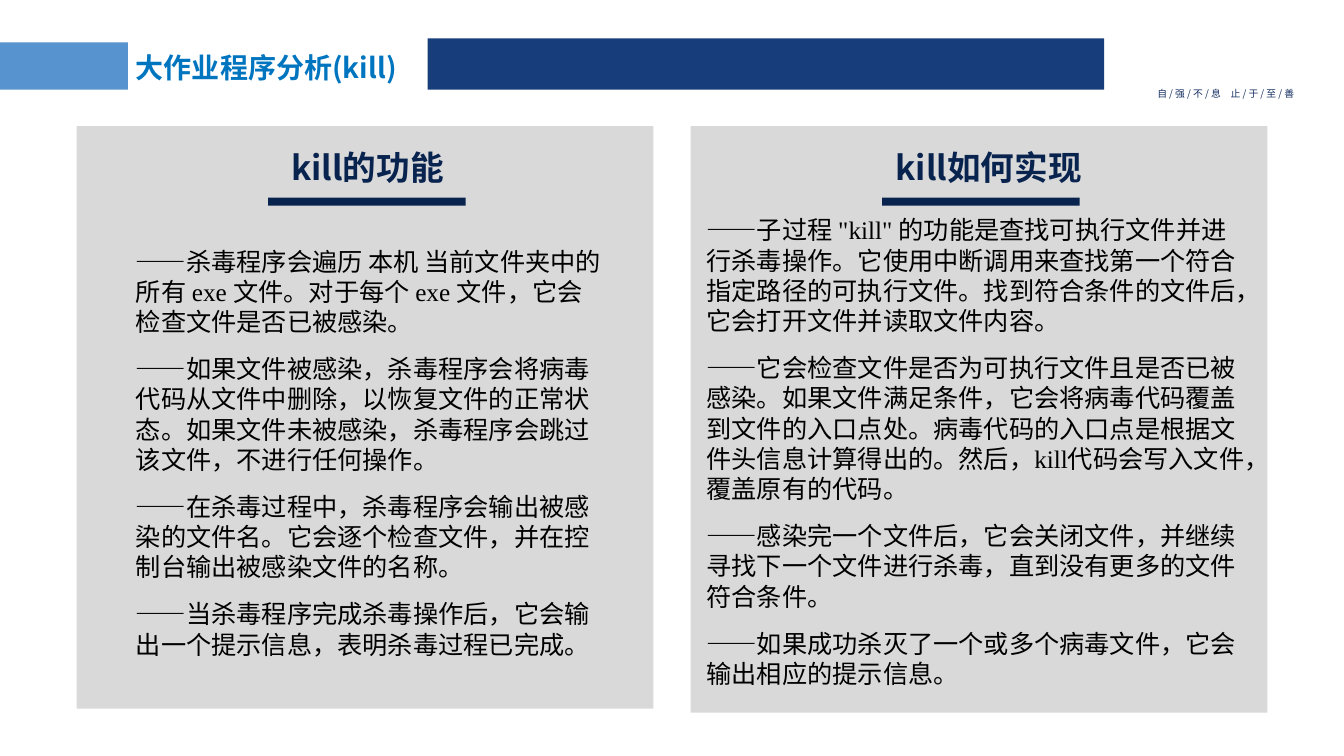
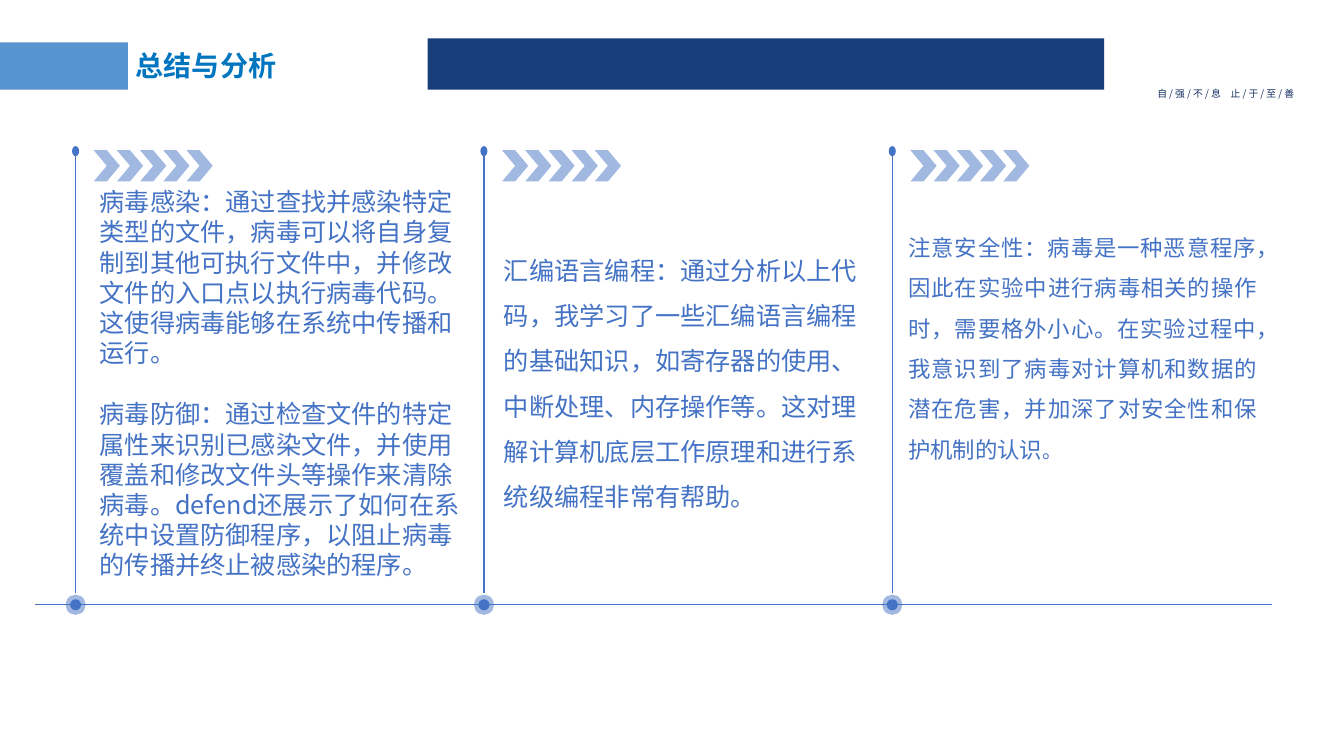
from pptx import Presentation
from pptx.dml.color import RGBColor
from pptx.enum.shapes import MSO_CONNECTOR as CONN, MSO_SHAPE as SHAPE
from pptx.enum.text import MSO_ANCHOR as ANCHOR, PP_ALIGN as ALIGN
from pptx.oxml.ns import qn
from pptx.util import Pt
from lxml.etree import SubElement

SANS, SERIF = "Noto Sans CJK SC", "Times New Roman"
NAVY, SKY, TITLE, MOTTO = "173D7A", "5793CE", "0075BF", "142E60"
PANEL, HEADING, BLACK, ACCENT = "D9D9D9", "09234F", "000000", "4472C4"
PX = 9144


def px(*lengths):
    """Turn px lengths into EMU."""
    return [round(v * PX) for v in lengths]


def rgb(color):
    """Turn a hex string into a colour."""
    return RGBColor.from_string(color)


def add_box(slide, kind, box, fill, alpha=None):
    """Add a filled preset shape without outline, optionally transparent."""
    sp = slide.shapes.add_shape(kind, *px(*box))
    sp.shadow.inherit = False
    sp.fill.solid()
    sp.fill.fore_color.rgb = rgb(fill)
    sp.line.fill.background()
    if alpha:
        clr = sp.fill._xPr.find(".//" + qn("a:srgbClr"))
        SubElement(clr, qn("a:alpha")).set("val", str(alpha * 1000))
    return sp


def add_line(slide, x1, y1, x2, y2):
    """Add a thin accent line."""
    cn = slide.shapes.add_connector(CONN.STRAIGHT, *px(x1, y1, x2, y2))
    cn.line.color.rgb = rgb(ACCENT)
    cn.line.width = Pt(1)
    SubElement(cn._element.spPr, qn("a:effectLst"))
    return cn


def add_text(slide, box, paragraphs, size, color, font=SANS, bold=False,
             align=ALIGN.LEFT, anchor=ANCHOR.TOP, leading=1.2, before=0, after=0):
    """Add a text box; each paragraph is a list of (text, size or None) runs."""
    tf = slide.shapes.add_textbox(*px(*box)).text_frame
    tf.word_wrap = True
    tf.vertical_anchor = anchor
    for i, runs in enumerate(paragraphs):
        p = tf.add_paragraph() if i else tf.paragraphs[0]
        p.alignment = align
        p.line_spacing = Pt(size * leading)
        p.space_before = Pt(before if i else 0)
        p.space_after = Pt(after)
        for text, run_size in runs:
            r = p.add_run()
            r.text = text
            r.font.size = Pt(run_size or size)
            r.font.bold = bold
            r.font.name = font
            r.font.color.rgb = rgb(color)
            SubElement(r._r.rPr, qn("a:ea")).set("typeface", SANS)


def plain(*texts):
    """Make one single-run paragraph for each text."""
    return [[(text, None)] for text in texts]


def new_slide(prs, title, title_top):
    """Add a slide with the shared bands, motto and title."""
    slide = prs.slides.add_slide(prs.slide_layouts[6])
    add_box(slide, SHAPE.RECTANGLE, (424, 38, 671, 51), NAVY)
    add_box(slide, SHAPE.RECTANGLE, (0, 42, 127, 47), SKY)
    add_text(slide, (1138, 82, 173, 22),
             plain("自 / 强 / 不 / 息　止 / 于 / 至 / 善"), 7, MOTTO)
    add_text(slide, (125, title_top, 303, 43), plain(title), 20, TITLE,
             bold=True, leading=1.15)
    return slide


def add_panel(slide, box, heading, heading_width, body, texts):
    """Add a grey panel with an underlined heading and a body box inside it."""
    x, y = box[:2]
    dx, dy, w, h = body
    add_box(slide, SHAPE.RECTANGLE, box, PANEL)
    add_text(slide, (x + 168, y + 20, heading_width, 42), plain(heading), 24,
             HEADING, bold=True, align=ALIGN.CENTER, anchor=ANCHOR.MIDDLE)
    add_box(slide, SHAPE.RECTANGLE, (x + 190, y + 71, 196, 8), HEADING)
    add_text(slide, (x + dx, y + dy, w, h), plain(*texts), 18, BLACK,
             font=SERIF, before=6, after=6)


def add_timeline_column(slide, x, top, axis, body, paragraphs, **style):
    """Add a stem with its axis dot, a chevron row and the column text."""
    for radius, alpha in ((10, 50), (5.5, None)):
        add_box(slide, SHAPE.OVAL,
                (x - radius, axis - radius, 2 * radius, 2 * radius), ACCENT, alpha)
    add_line(slide, x, axis - 12, x, top + 9)
    add_box(slide, SHAPE.OVAL, (x - 3.5, top, 7, 10), ACCENT)
    for i in range(5):
        add_box(slide, SHAPE.CHEVRON, (x + 18 + 23 * i, top + 4, 26, 31), ACCENT, 50)
    dx, dy, w, h = body
    add_text(slide, (x + dx, top + dy, w, h), paragraphs, color=ACCENT, **style)


def build_kill(prs):
    """Build the two-panel slide on the kill routine."""
    slide = new_slide(prs, "大作业程序分析(kill)", 47)
    add_panel(slide, (76, 125, 572, 578), "kill的功能", 241, (49, 114, 484, 424), [
        "——杀毒程序会遍历 本机 当前文件夹中的所有 exe 文件。对于每个 exe 文件，它会检查文件是否已被感染。",
        "——如果文件被感染，杀毒程序会将病毒代码从文件中删除，以恢复文件的正常状态。"
        "如果文件未被感染，杀毒程序会跳过该文件，不进行任何操作。",
        "——在杀毒过程中，杀毒程序会输出被感染的文件名。它会逐个检查文件，并在控制台输出被感染文件的名称。",
        "——当杀毒程序完成杀毒操作后，它会输出一个提示信息，表明杀毒过程已完成。",
    ])
    add_panel(slide, (685, 125, 572, 582), "kill如何实现", 255, (6, 83, 560, 485), [
        "——子过程 \"kill\" 的功能是查找可执行文件并进行杀毒操作。它使用中断调用来查找第一个符合"
        "指定路径的可执行文件。找到符合条件的文件后，它会打开文件并读取文件内容。",
        "——它会检查文件是否为可执行文件且是否已被感染。如果文件满足条件，它会将病毒代码覆盖到文件的入口点处。"
        "病毒代码的入口点是根据文件头信息计算得出的。然后，kill代码会写入文件，覆盖原有的代码。",
        "——感染完一个文件后，它会关闭文件，并继续寻找下一个文件进行杀毒，直到没有更多的文件符合条件。",
        "——如果成功杀灭了一个或多个病毒文件，它会输出相应的提示信息。",
    ])


def build_summary(prs):
    """Build the three-column timeline slide with the conclusions."""
    slide = new_slide(prs, "总结与分析", 45)
    axis = 600
    add_line(slide, 35, axis, 1262, axis)
    columns = [
        ((14, 35, 378, 380), plain(
            "病毒感染：通过查找并感染特定类型的文件，病毒可以将自身复制到其他可执行文件中，"
            "并修改文件的入口点以执行病毒代码。这使得病毒能够在系统中传播和运行。",
            "病毒防御：通过检查文件的特定属性来识别已感染文件，并使用覆盖和修改文件头等操作来清除病毒。"
            "defend还展示了如何在系统中设置防御程序，以阻止病毒的传播并终止被感染的程序。"),
         dict(size=18, before=22)),
        ((10, 88, 389, 262), plain(
            "汇编语言编程：通过分析以上代码，我学习了一些汇编语言编程的基础知识，如寄存器的使用、"
            "中断处理、内存操作等。这对理解计算机底层工作原理和进行系统级编程非常有帮助。"),
         dict(size=18, leading=1.8)),
        ((6, 69, 366, 252), [[
            ("注意安全性：病毒是一种恶意程序，因此在实验中进行病毒相关的操作时，需要格外小心。"
             "在实验过程中，我意识到了病毒对计算机和数据的潜在危害，并加深了对安全性和保护机制的认识", None),
            ("。", 14)]],
         dict(size=16, leading=1.8, align=ALIGN.JUSTIFY)),
    ]
    for i, (body, paragraphs, style) in enumerate(columns):
        add_timeline_column(slide, 75 + 405 * i, 145, axis, body, paragraphs, **style)


def main():
    """Build and save the presentation."""
    prs = Presentation()
    prs.slide_width, prs.slide_height = px(1333, 750)
    build_kill(prs)
    build_summary(prs)
    prs.save("out.pptx")


if __name__ == "__main__":
    main()
